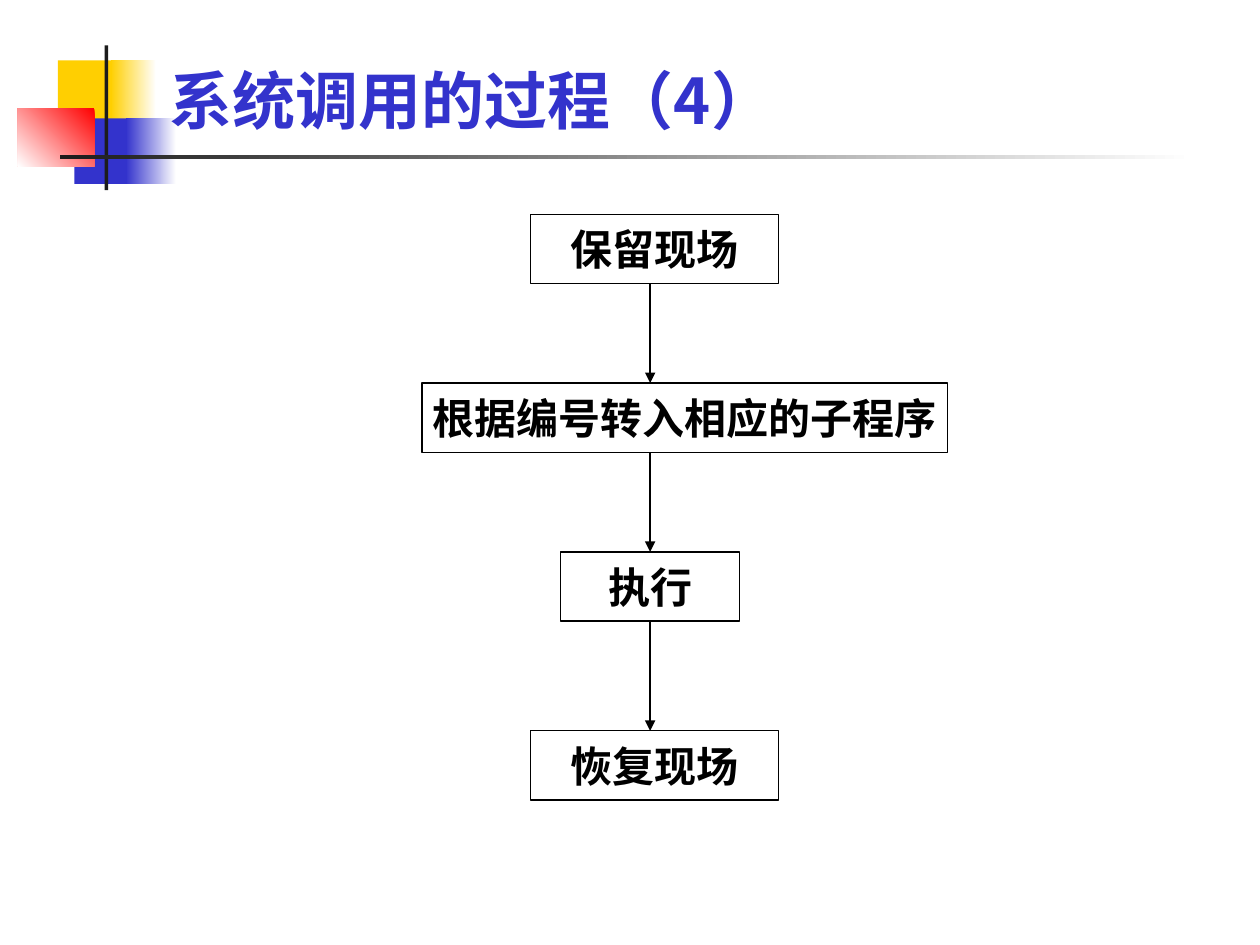
import pptx
import pptx.util
import pptx.dml.color
import pptx.enum.shapes
import pptx.enum.text
import pptx.oxml
import pptx.oxml.ns

Inches = pptx.util.Inches
Anchor = pptx.enum.text.MSO_ANCHOR
Align = pptx.enum.text.PP_ALIGN

COLORS = {"white": "FFFFFF", "yellow": "FFCF01", "blue": "3333CC",
          "red": "FF0000", "dark": "1C1C1C", "black": "000000"}
CJK_FONT = "Noto Sans CJK SC"

# Content
TITLE = "系统调用的过程（4）"
STEPS = [  # text, left, top, width
    ("保留现场", 4.21, 1.7, 1.97),
    ("根据编号转入相应的子程序", 3.35, 3.04, 4.17),
    ("执行", 4.45, 4.38, 1.42),
    ("恢复现场", 4.21, 5.8, 1.97),
]
STEP_HEIGHT = 0.55
ARROW_X = 5.16

# Corner ornament: position, colours (one is solid, two a gradient), angle
ORNAMENT = [
    ((0.46, 0.48, 0.48, 0.52), ["yellow"], 0),
    ((0.88, 0.48, 0.36, 0.52), ["white", "yellow"], 180),
    ((0.59, 0.94, 0.46, 0.52), ["blue"], 0),
    ((1, 0.94, 0.4, 0.52), ["white", "blue"], 180),
    ((0.14, 0.86, 0.61, 0.46), ["red", "white"], 225),
    ((0.83, 0.36, 0.03, 1.15), ["dark"], 0),
    ((0.48, 1.23, 9, 0.03), ["white", "dark"], 180),
]
TITLE_FONT = {"name": CJK_FONT, "size": pptx.util.Pt(36), "bold": True}
STEP_FONT = {"name": "Lato", "size": pptx.util.Pt(24), "bold": True}


def rgb(name):
    return pptx.dml.color.RGBColor.from_string(COLORS[name])


def add_rectangle(page, place):
    box = page.shapes.add_shape(pptx.enum.shapes.MSO_SHAPE.RECTANGLE,
                                *map(Inches, place))
    box.shadow.inherit = False
    return box


def add_ornament(page, place, colors, angle):
    box = add_rectangle(page, place)
    box.line.fill.background()
    if len(colors) == 1:
        box.fill.solid()
        box.fill.fore_color.rgb = rgb(colors[0])
        return
    box.fill.gradient()
    box.fill.gradient_angle = angle
    for position, (stop, color) in enumerate(zip(box.fill.gradient_stops, colors)):
        stop.position = position
        stop.color.rgb = rgb(color)


def write_text(box, text, font, color, align, frame_format):
    frame = box.text_frame
    for name, value in frame_format.items():
        setattr(frame, name, value)
    para = frame.paragraphs[0]
    para.alignment = align
    span = para.add_run()
    span.text = text
    for name, value in font.items():
        setattr(span.font, name, value)
    span.font.color.rgb = rgb(color)
    east_asian = pptx.oxml.parse_xml(
        f'<a:ea {pptx.oxml.ns.nsdecls("a")} typeface="{CJK_FONT}"/>')
    span.font._element.find(pptx.oxml.ns.qn("a:latin")).addnext(east_asian)


def add_step(page, text, left, top, width):
    box = add_rectangle(page, (left, top, width, STEP_HEIGHT))
    box.fill.background()
    box.line.color.rgb = rgb("black")
    box.line.width = pptx.util.Pt(0.75)
    write_text(box, text, STEP_FONT, "black", Align.CENTER,
               {"word_wrap": False, "vertical_anchor": Anchor.MIDDLE})


def add_arrow(page, start, end):
    arrow = page.shapes.add_connector(
        pptx.enum.shapes.MSO_CONNECTOR.STRAIGHT,
        *map(Inches, (ARROW_X, start, ARROW_X, end)))
    arrow.line.color.rgb = rgb("black")
    arrow.line.width = pptx.util.Pt(0.75)
    namespace = pptx.oxml.ns.nsdecls("a")
    arrow.line._get_or_add_ln().append(
        pptx.oxml.parse_xml(f'<a:tailEnd {namespace} type="triangle"/>'))
    arrow._element.spPr.append(pptx.oxml.parse_xml(f"<a:effectLst {namespace}/>"))


def main():
    deck = pptx.Presentation()
    deck.slide_width, deck.slide_height = Inches(10), Inches(7.5)
    page = deck.slides.add_slide(deck.slide_layouts[6])

    for ornament in ORNAMENT:
        add_ornament(page, *ornament)

    # Title
    box = page.shapes.add_textbox(*map(Inches, (1.25, 0.21, 8.52, 0.93)))
    write_text(box, TITLE, TITLE_FONT, "blue", Align.LEFT,
               {"word_wrap": True, "vertical_anchor": Anchor.BOTTOM})

    # Flow chart: boxes, then an arrow across each gap
    for step in STEPS:
        add_step(page, *step)
    for upper, lower in zip(STEPS, STEPS[1:]):
        add_arrow(page, upper[2] + STEP_HEIGHT, lower[2])

    deck.save("out.pptx")


if __name__ == "__main__":
    main()
